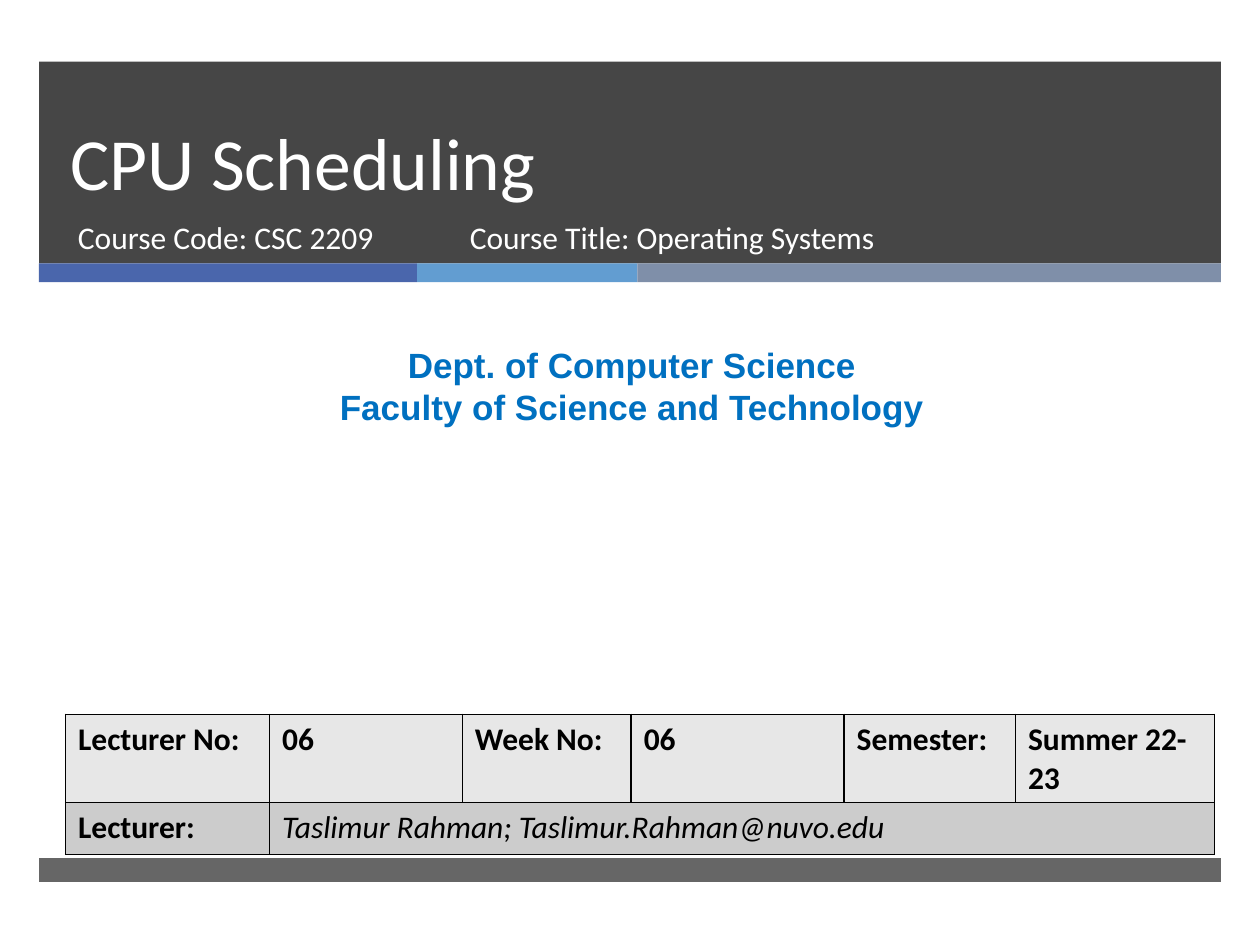
from lxml.etree import SubElement
from pptx import Presentation
from pptx.dml.color import RGBColor
from pptx.enum.shapes import MSO_SHAPE as Shape
from pptx.enum.text import MSO_ANCHOR as Anchor, PP_ALIGN as Align
from pptx.oxml.ns import qn
from pptx.util import Inches, Pt

WHITE = RGBColor(0xFF, 0xFF, 0xFF)
BLACK = RGBColor(0x00, 0x00, 0x00)
CHARCOAL = RGBColor(0x26, 0x26, 0x26)
INDIGO = RGBColor(0x4A, 0x66, 0xAC)
SKY = RGBColor(0x62, 0x9D, 0xD1)
SLATE = RGBColor(0x7F, 0x8F, 0xA9)
BLUE = RGBColor(0x00, 0x70, 0xC0)
LIGHT_GREY = RGBColor(0xE7, 0xE7, 0xE7)
MID_GREY = RGBColor(0xCC, 0xCC, 0xCC)

LEFT = 0.31
WIDTH = 9.38


class Slide:
    font = "Calibri"
    size = 18

    def __init__(self, page):
        self.page = page

    def style(self, frame, color, size=None, font=None, bold=False, italic=False):
        for para in frame.paragraphs:
            for span in para.runs:
                span.font.name = font or self.font
                span.font.size = Pt(size or self.size)
                span.font.color.rgb = color
                span.font.bold = bold
                span.font.italic = italic

    def bar(self, left, top, width, height, color, opacity=100):
        shape = self.page.shapes.add_shape(
            Shape.RECTANGLE, Inches(left), Inches(top), Inches(width), Inches(height))
        shape.shadow.inherit = False
        shape.fill.solid()
        shape.fill.fore_color.rgb = color
        shape.line.fill.background()
        if opacity < 100:
            tint = shape.fill._xPr.find(qn("a:solidFill"))[0]
            SubElement(tint, qn("a:alpha"), val=str(opacity * 1000))

    def text(self, left, top, width, height, words, color,
             anchor=Anchor.TOP, align=Align.LEFT, spacing=None, **look):
        box = self.page.shapes.add_textbox(
            Inches(left), Inches(top), Inches(width), Inches(height))
        frame = box.text_frame
        frame.word_wrap = True
        frame.vertical_anchor = anchor
        frame.text = words
        for para in frame.paragraphs:
            para.alignment = align
            para.line_spacing = spacing
        self.style(frame, color, **look)

    def cell(self, cell, words, fill, **look):
        cell.text_frame.text = words
        self.style(cell.text_frame, BLACK, **look)
        properties = cell._tc.get_or_add_tcPr()
        for side in ("a:lnL", "a:lnR", "a:lnT", "a:lnB"):
            line = SubElement(properties, qn(side), w=str(Pt(1)))
            solid = SubElement(line, qn("a:solidFill"))
            SubElement(solid, qn("a:srgbClr"), val=str(BLACK))
        cell.fill.solid()
        cell.fill.fore_color.rgb = fill

    def table(self, left, top, columns, rows):
        frame = self.page.shapes.add_table(
            len(rows), len(columns), Inches(left), Inches(top),
            Inches(sum(columns)), Inches(sum(rows)))
        table = frame.table
        for column, width in zip(table.columns, columns):
            column.width = Inches(width)
        for row, height in zip(table.rows, rows):
            row.height = Inches(height)
        return table


def main():
    deck = Presentation()
    deck.slide_width = Inches(10)
    deck.slide_height = Inches(7.5)
    slide = Slide(deck.slides.add_slide(deck.slide_layouts[6]))

    slide.bar(LEFT, 0.49, WIDTH, 1.6, CHARCOAL, opacity=85)
    left = LEFT
    for width, color in ((3, INDIGO), (1.75, SKY), (4.63, SLATE)):
        slide.bar(left, 2.09, width, 0.15, color)
        left += width
    slide.bar(LEFT, 6.81, WIDTH, 0.19, CHARCOAL, opacity=70)

    slide.text(0.46, 0.49, 8.54, 1.19, "CPU Scheduling", WHITE,
               anchor=Anchor.BOTTOM, spacing=Pt(46), size=42)
    slide.text(0.52, 1.68, 3.05, 0.53, "Course Code: CSC 2209", WHITE)
    slide.text(3.63, 1.68, 4.55, 0.53, "Course Title: Operating Systems", WHITE)
    slide.text(0.08, 2.68, 9.87, 0.77,
               "Dept. of Computer Science\nFaculty of Science and Technology",
               BLUE, align=Align.CENTER, size=20, font="Arial", bold=True)

    table = slide.table(0.52, 5.67, (1.62, 1.53, 1.34, 1.69, 1.36, 1.58), (0.7, 0.41))
    table.cell(1, 1).merge(table.cell(1, 5))
    headings = ("Lecturer No:", "06", "Week No:", "06", "Semester:", "Summer 22-23")
    for column, words in enumerate(headings):
        slide.cell(table.cell(0, column), words, LIGHT_GREY, bold=True)
    lecturer = ("Lecturer:", "Taslimur Rahman; Taslimur.Rahman@nuvo.edu", "", "", "", "")
    for column, words in enumerate(lecturer):
        slide.cell(table.cell(1, column), words, MID_GREY,
                   bold=column == 0, italic=column == 1)

    deck.save("out.pptx")


if __name__ == "__main__":
    main()
